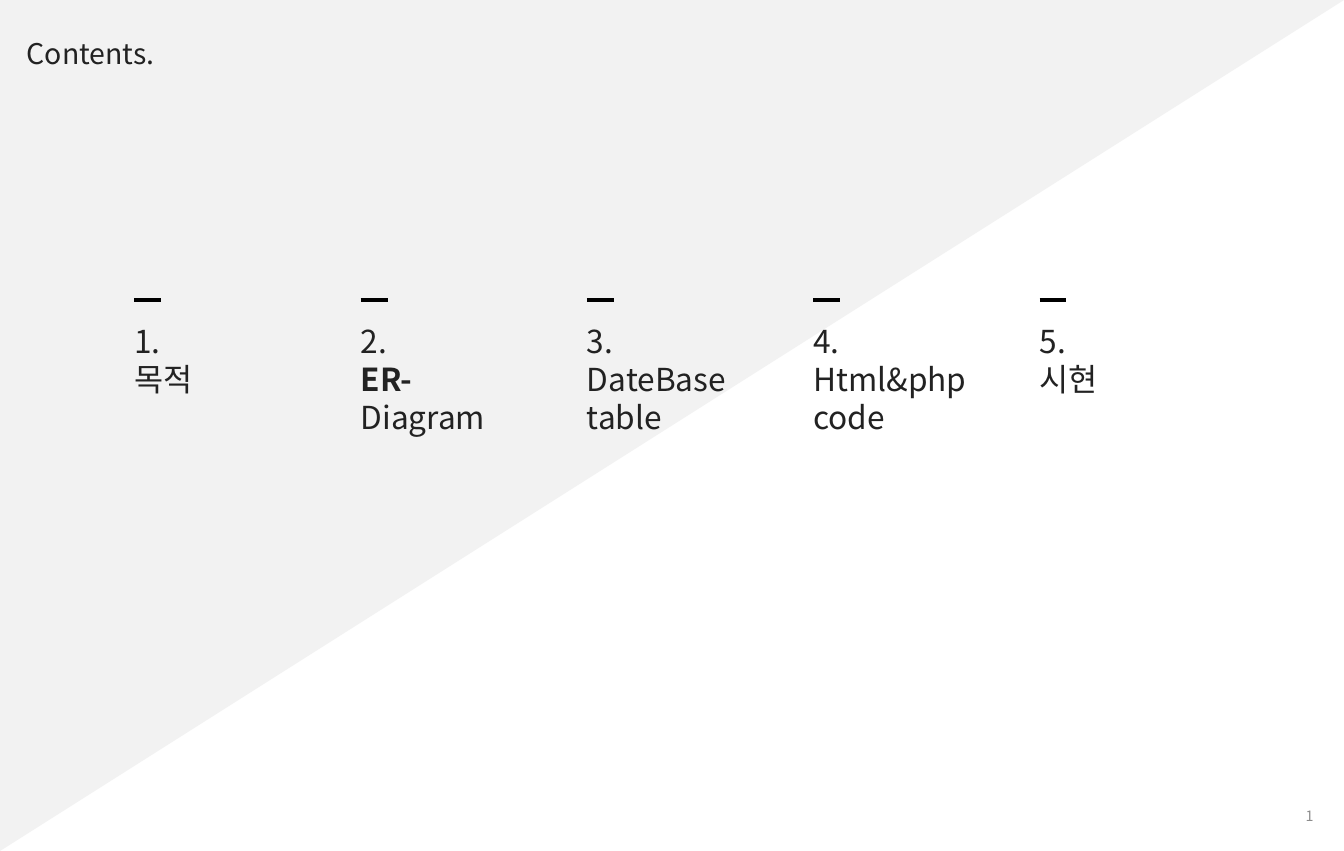
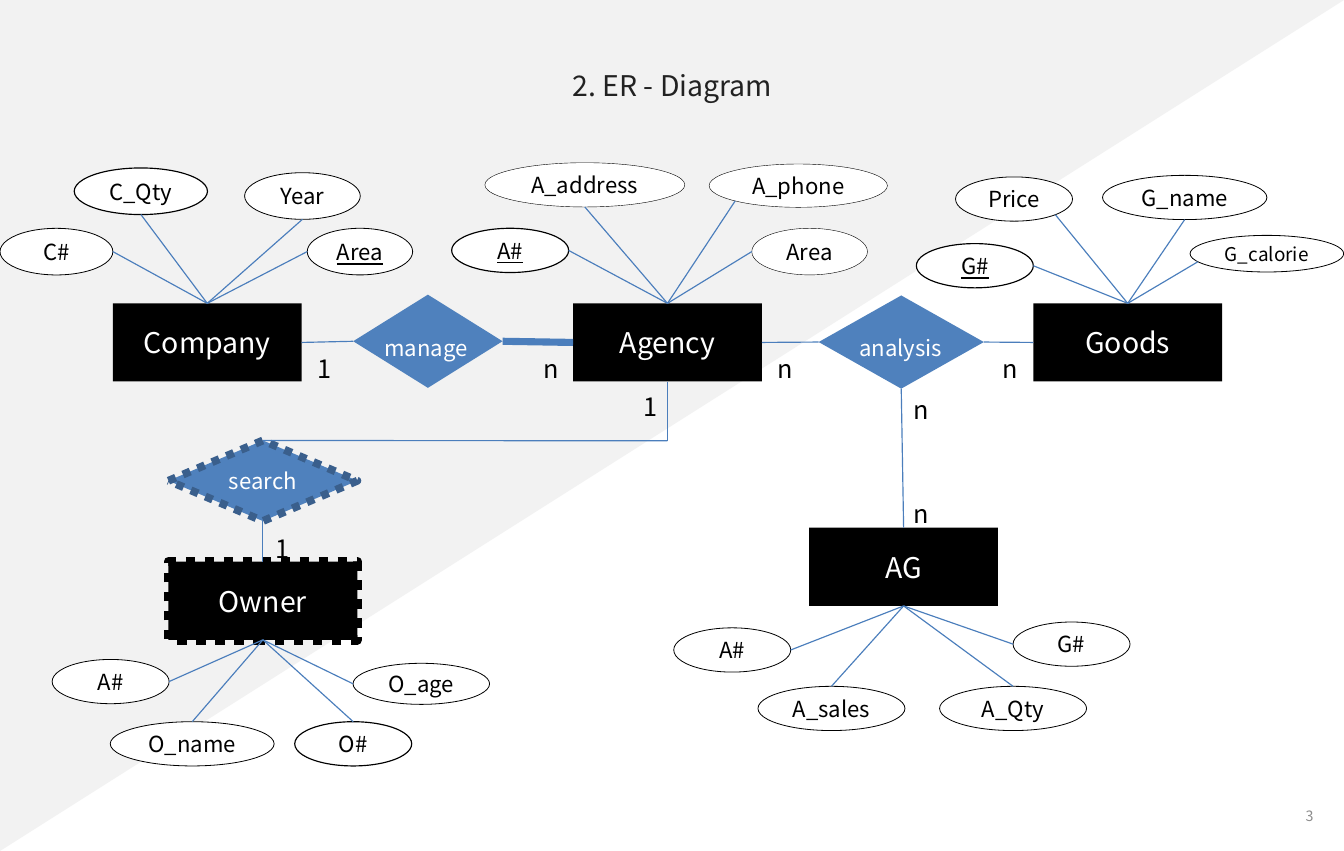
"""Build the contents slide and the entity-relationship slide."""
from dataclasses import dataclass
from math import cos, radians, sin
from typing import Optional

from lxml.etree import SubElement
from pptx import Presentation
from pptx.dml.color import RGBColor
from pptx.enum.dml import MSO_LINE
from pptx.enum.shapes import MSO_CONNECTOR, MSO_SHAPE
from pptx.enum.text import MSO_ANCHOR, PP_ALIGN
from pptx.oxml.ns import qn
from pptx.util import Pt

WIDE, HIGH = 850.4, 538.6
FONT = "Noto Sans CJK KR"
WHITE = RGBColor(0xFF, 0xFF, 0xFF)
BLACK = RGBColor(0x00, 0x00, 0x00)
PALE = RGBColor(0xF2, 0xF2, 0xF2)
INK = RGBColor(0x22, 0x22, 0x22)
GRAY = RGBColor(0x8C, 0x8C, 0x8C)
BLUE = RGBColor(0x4F, 0x81, 0xBD)
NAVY = RGBColor(0x3A, 0x5F, 0x8C)
WIRE = RGBColor(0x4B, 0x7E, 0xBC)
TOP, LEFT, BASE, RIGHT = range(4)


@dataclass(frozen=True)
class Box:
    """A rectangle in points."""
    x: float
    y: float
    w: float
    h: float


@dataclass(frozen=True)
class Style:
    """How a run of text looks."""
    size: float
    color: RGBColor
    align: PP_ALIGN = PP_ALIGN.LEFT
    space: Optional[float] = None


@dataclass(frozen=True)
class Edge:
    """An outline; dots marks a weak entity or relation."""
    color: RGBColor
    width: float
    dots: bool = False


@dataclass(frozen=True)
class Node:
    """An entity or a relation of the diagram."""
    name: str
    box: Box
    edge: Optional[Edge] = None


@dataclass(frozen=True)
class Trait:
    """An attribute oval; angle is where its line meets the rim."""
    text: str
    host: str
    box: Box
    angle: float
    edge: float = 0.5
    key: bool = False
    size: float = 14


@dataclass(frozen=True)
class Link:
    """A line between the sides of two nodes."""
    start: str
    out: int
    end: str
    into: int
    width: float = 0.75


HEAD = Style(18, INK)
MID = Style(18, INK, PP_ALIGN.CENTER, 1.5)
ITEM = Style(20, INK)
FOOT = Style(9, GRAY, PP_ALIGN.RIGHT)
NAME = Style(18, WHITE, PP_ALIGN.CENTER)
VERB = Style(14, WHITE, PP_ALIGN.CENTER)
VERB_LOW = Style(14, WHITE, PP_ALIGN.CENTER, 1.5)
COUNT = Style(16, BLACK)

ITEMS = ("1.\n목적", "2.\nER-\nDiagram", "3.\nDateBase\ntable",
         "4.\nHtml&php\ncode", "5.\n시현")
STRONG = "ER-"


def entity(name: str, x: float, y: float, edge: Optional[Edge] = None) -> Node:
    """Make an entity of the common size."""
    return Node(name, Box(x, y, 119.5, 49.5), edge)


ENTITIES = tuple(entity(name, 71.4 + 291.2 * i, 192)
                 for i, name in enumerate(("Company", "Agency", "Goods"))) + (
    entity("Owner", 106.6, 355.5, Edge(BLACK, 6, True)),
    entity("AG", 512, 334),
)
VERBS = (
    Node("manage", Box(223.5, 186.5, 94.5, 59)),
    Node("analysis", Box(518, 187, 104.5, 59)),
    Node("search", Box(106.6, 278.8, 119.5, 51), Edge(NAVY, 5, True)),
)
LOW = {"manage": Box(193.7, 203.5, 152, 23), "analysis": Box(490, 203.5, 160, 23)}
TRAITS = (
    Trait("C#", "Company", Box(0, 144.5, 71.4, 29.5), 0),
    Trait("C_Qty", "Company", Box(47, 106.3, 84.3, 29.5), 90, 0.75),
    Trait("Year", "Company", Box(154.8, 109.3, 73.2, 29.5), 90),
    Trait("Area", "Company", Box(194.4, 144.5, 66.7, 29.5), 180, key=True),
    Trait("A#", "Agency", Box(285.8, 144.5, 74, 28), 0, 0, key=True),
    Trait("A_address", "Agency", Box(306.8, 103, 126.5, 28), 90, 0.25),
    Trait("A_phone", "Agency", Box(448.7, 103.8, 112.8, 27.4), 135, 0.25),
    Trait("Area", "Agency", Box(475.7, 144.5, 73.2, 29.5), 180, 0.25),
    Trait("G#", "Goods", Box(579.8, 154.2, 74, 28), 0, 0.75, True),
    Trait("Price", "Goods", Box(604.6, 112, 74, 28), 45),
    Trait("G_name", "Goods", Box(697.6, 111, 104, 28), 90),
    Trait("G_calorie", "Goods", Box(753, 149, 97.2, 23.2), 154, size=12),
    Trait("A#", "Owner", Box(33, 417.4, 74, 28), 0),
    Trait("O_name", "Owner", Box(69.8, 456.8, 103.7, 28), 270),
    Trait("O#", "Owner", Box(186.5, 456.8, 74, 28), 270, 0.75),
    Trait("O_age", "Owner", Box(223.4, 419.8, 86.4, 26), 180),
    Trait("A#", "AG", Box(426.3, 397.4, 74, 28), 0),
    Trait("A_sales", "AG", Box(479.6, 434.4, 93, 28), 270),
    Trait("A_Qty", "AG", Box(594.5, 434.4, 93, 28), 270),
    Trait("G#", "AG", Box(641, 393.7, 74, 28), 180),
)
PORTS = {"Company": TOP, "Agency": TOP, "Goods": TOP, "Owner": BASE, "AG": BASE}
LINKS = (
    Link("Company", RIGHT, "manage", LEFT),
    Link("manage", RIGHT, "Agency", LEFT, 4.5),
    Link("Agency", RIGHT, "analysis", LEFT),
    Link("analysis", RIGHT, "Goods", LEFT),
    Link("analysis", BASE, "AG", TOP),
    Link("search", BASE, "Owner", TOP),
)
COUNTS = (
    ("1", 193.7, 220.3), ("n", 337, 220.3), ("n", 484.6, 220.3),
    ("n", 627, 220.3), ("n", 571, 245.8), ("n", 571, 311.8),
    ("1", 400.3, 244.4), ("1", 167, 334),
)


def place(box: Box) -> tuple:
    """Turn a box into four lengths."""
    return tuple(Pt(v) for v in (box.x, box.y, box.w, box.h))


def write(frame, text: str, style: Style, key: bool = False, strong: str = "") -> None:
    """Fill a text frame and format its runs."""
    frame.text = text
    for para in frame.paragraphs:
        para.alignment = style.align
        if style.space:
            para.line_spacing = style.space
        for run in para.runs:
            font = run.font
            font.size, font.name = Pt(style.size), FONT
            font.color.rgb = style.color
            font.bold = run.text == strong
            font.underline = key
            SubElement(run._r.get_or_add_rPr(), qn("a:ea"), typeface=FONT)


def label(slide, box: Box, text: str, style: Style, pad: float = 0, strong: str = ""):
    """Add a text box with even side padding."""
    shape = slide.shapes.add_textbox(*place(box))
    frame = shape.text_frame
    frame.word_wrap = True
    frame.margin_left = frame.margin_right = Pt(pad)
    frame.margin_top = frame.margin_bottom = Pt(pad / 2)
    write(frame, text, style, strong=strong)
    return shape


def solid(slide, kind: MSO_SHAPE, box: Box, fill: RGBColor, edge: Optional[Edge] = None):
    """Add a flat preset shape."""
    shape = slide.shapes.add_shape(kind, *place(box))
    shape.shadow.inherit = False
    shape.fill.solid()
    shape.fill.fore_color.rgb = fill
    if edge is None:
        shape.line.fill.background()
    else:
        shape.line.color.rgb = edge.color
        shape.line.width = Pt(edge.width)
        if edge.dots:
            shape.line.dash_style = MSO_LINE.ROUND_DOT
    frame = shape.text_frame
    frame.word_wrap = False
    frame.vertical_anchor = MSO_ANCHOR.MIDDLE
    return shape


def line(slide, start: tuple, end: tuple, color: RGBColor = WIRE, width: float = 0.75):
    """Add a straight line without a shadow."""
    wire = slide.shapes.add_connector(
        MSO_CONNECTOR.STRAIGHT, *(Pt(v) for v in start + end))
    wire.line.color.rgb = color
    wire.line.width = Pt(width)
    SubElement(wire._element.spPr, qn("a:effectLst"))
    return wire


def base(deck, number: str):
    """Start a slide with the shared wedge and page number."""
    slide = deck.slides.add_slide(deck.slide_layouts[6])
    wedge = solid(slide, MSO_SHAPE.ISOSCELES_TRIANGLE, Box(0, 0, WIDE, HIGH), PALE)
    wedge.adjustments[0] = 1
    wedge.rotation = 180
    foot = label(slide, Box(641, 502, 198.5, 28.7), number, FOOT, 8.5)
    foot.text_frame.vertical_anchor = MSO_ANCHOR.MIDDLE
    return slide


def agenda(deck) -> None:
    """Draw the contents slide."""
    slide = base(deck, "1")
    label(slide, Box(17, 23, 822, 21.8), "Contents.", HEAD)
    for i, text in enumerate(ITEMS):
        x = 85 + 143.2 * i
        label(slide, Box(x, 203.8, 136, 24.2 * len(text.split("\n"))), text, ITEM,
              strong=STRONG)
        line(slide, (x, 190), (x + 17, 190), BLACK, 2.25)


def rim(box: Box, angle: float) -> tuple:
    """Find the point of an oval at an angle in degrees."""
    turn = radians(angle)
    return (box.x + box.w / 2 * (1 + cos(turn)), box.y + box.h / 2 * (1 + sin(turn)))


def diagram(deck) -> None:
    """Draw the entity-relationship slide."""
    slide = base(deck, "3")
    label(slide, Box(23, 32.4, 805, 29.5), "2. ER - Diagram", MID)
    nodes = {}
    for node in ENTITIES:
        nodes[node.name] = solid(slide, MSO_SHAPE.RECTANGLE, node.box, BLACK, node.edge)
        write(nodes[node.name].text_frame, node.name, NAME)
    for trait in TRAITS:
        oval = solid(slide, MSO_SHAPE.OVAL, trait.box, WHITE, Edge(BLACK, trait.edge))
        write(oval.text_frame, trait.text,
              Style(trait.size, BLACK, PP_ALIGN.CENTER), trait.key)
        spot = rim(trait.box, trait.angle)
        line(slide, spot, spot).end_connect(nodes[trait.host], PORTS[trait.host])
    for node in VERBS:
        nodes[node.name] = solid(slide, MSO_SHAPE.DIAMOND, node.box, BLUE, node.edge)
        if node.name in LOW:
            label(slide, LOW[node.name], node.name, VERB_LOW)
        else:
            write(nodes[node.name].text_frame, node.name, VERB)
    for link in LINKS:
        wire = line(slide, (0, 0), (0, 0), width=link.width)
        wire.begin_connect(nodes[link.start], link.out)
        wire.end_connect(nodes[link.end], link.into)
    bend = (422.35, 279)
    line(slide, bend, bend).begin_connect(nodes["Agency"], BASE)
    line(slide, bend, bend).end_connect(nodes["search"], TOP)
    for text, x, y in COUNTS:
        label(slide, Box(x, y, 25, 28.8), text, COUNT, 7.2)


def main() -> None:
    """Build and save the deck."""
    deck = Presentation()
    deck.slide_width, deck.slide_height = Pt(WIDE), Pt(HIGH)
    agenda(deck)
    diagram(deck)
    deck.save("out.pptx")


if __name__ == "__main__":
    main()
